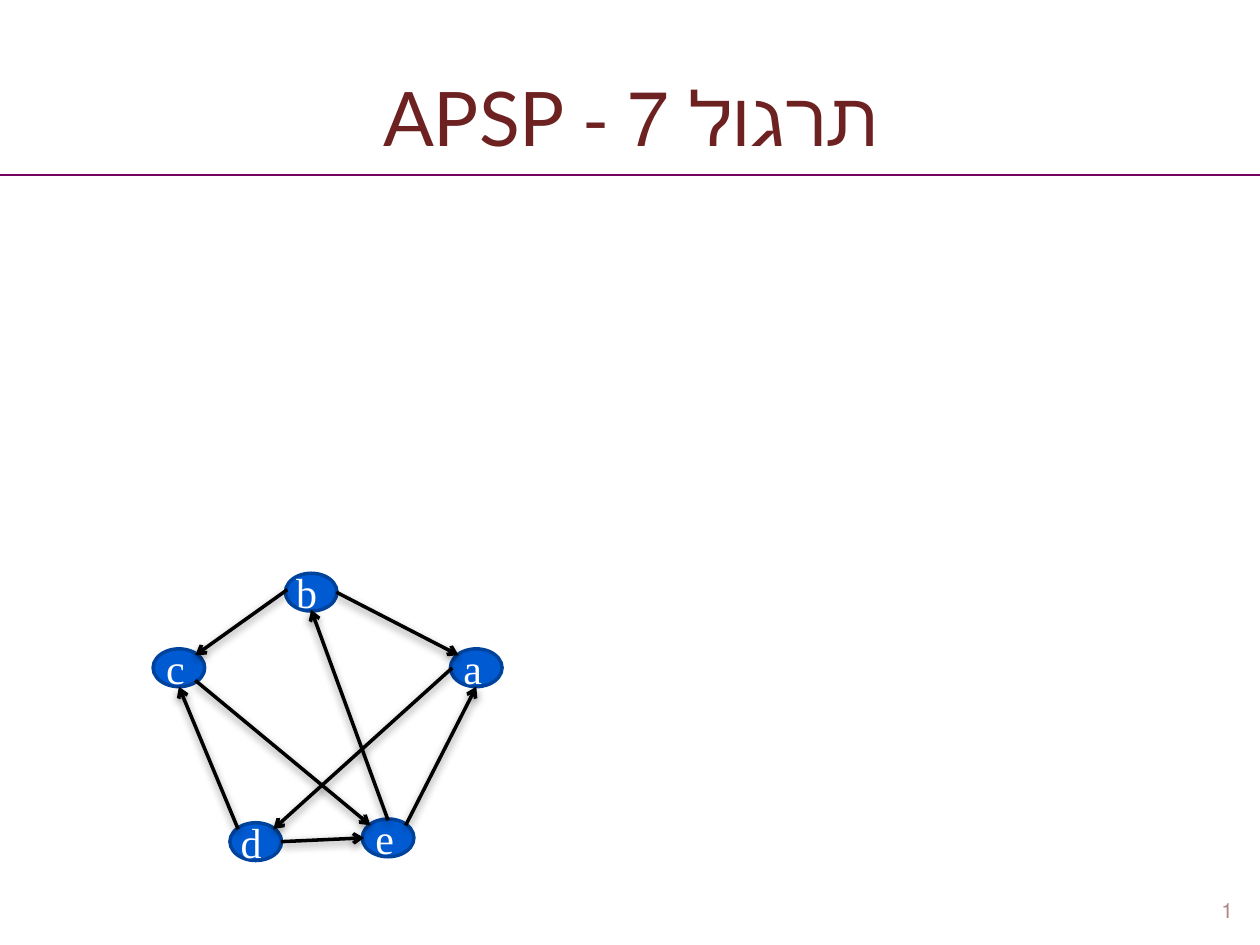
"""Build a title slide with a directed graph of five labelled nodes."""
import pptx
import pptx.dml.color
import pptx.enum.shapes
import pptx.enum.text
import pptx.oxml
import pptx.oxml.ns
import pptx.util
from pptx.util import Inches

COLORS = {"title": "6D2121", "rule": "75005F", "number": "AF8888", "node": "005BD3",
          "outline": "00439C", "label": "FFFFFF", "edge": "000000"}
NS = pptx.oxml.ns.nsdecls("a")
SHADOW = (f'<a:effectLst {NS}><a:outerShdw blurRad="63500" dist="25400" dir="5400000" '
          'rotWithShape="0"><a:srgbClr val="000000"><a:alpha val="43000"/></a:srgbClr>'
          '</a:outerShdw></a:effectLst>')
NODE_W, NODE_H = 0.41, 0.3
NODES = {"d": (2.03, 6.68), "e": (3.08, 6.65), "a": (3.78, 5.3),
         "b": (2.47, 4.7), "c": (1.42, 5.3)}
EDGES = [(2.67, 4.7, 3.64, 5.2), (2.28, 4.68, 1.55, 5.2), (3.59, 5.3, 2.17, 6.58),
         (1.55, 5.4, 2.94, 6.55), (1.89, 6.58, 1.42, 5.45), (2.23, 6.68, 2.89, 6.65),
         (3.22, 6.55, 3.78, 5.45), (3.08, 6.51, 2.47, 4.84)]


def write(sp, text, size, font, color, anchor):
    tf = sp.text_frame
    tf.word_wrap = True
    tf.vertical_anchor = anchor
    p = tf.paragraphs[0]
    p.text = text
    p.alignment = pptx.enum.text.PP_ALIGN.CENTER
    p.font.size = pptx.util.Pt(size)
    p.font.name = font
    p.font.color.rgb = pptx.dml.color.RGBColor.from_string(COLORS[color])
    p._p.get_or_add_pPr().set("rtl", "1")


def add_line(x1, y1, x2, y2, color, width, effects):
    sp = s.shapes.add_connector(pptx.enum.shapes.MSO_CONNECTOR.STRAIGHT,
                                Inches(x1), Inches(y1), Inches(x2), Inches(y2))
    sp.line.color.rgb = pptx.dml.color.RGBColor.from_string(COLORS[color])
    sp.line.width = pptx.util.Pt(width)
    sp._element.spPr.append(pptx.oxml.parse_xml(effects))
    return sp


prs = pptx.Presentation()
prs.slide_width, prs.slide_height = Inches(10), Inches(7.5)
s = prs.slides.add_slide(prs.slide_layouts[5])
middle = pptx.enum.text.MSO_ANCHOR.MIDDLE

title = s.shapes.title
title.left, title.top, title.width, title.height = Inches(0), Inches(0.3), Inches(10), Inches(1.25)
write(title, "תרגול 7 - APSP", 43, "Lato", "title", middle)
add_line(0, 1.39, 10, 1.39, "rule", 0.75, f"<a:effectLst {NS}/>")

number = s.shapes.add_textbox(Inches(9.49), Inches(6.85), Inches(0.5), Inches(0.52))
write(number, "1", 12, "Times New Roman", "number", pptx.enum.text.MSO_ANCHOR.BOTTOM)

for label, (x, y) in NODES.items():
    sp = s.shapes.add_shape(pptx.enum.shapes.MSO_SHAPE.OVAL, Inches(x - NODE_W / 2),
                            Inches(y - NODE_H / 2), Inches(NODE_W), Inches(NODE_H))
    sp.shadow.inherit = False
    sp.fill.solid()
    sp.fill.fore_color.rgb = pptx.dml.color.RGBColor.from_string(COLORS["node"])
    sp.line.color.rgb = pptx.dml.color.RGBColor.from_string(COLORS["outline"])
    sp.line.width = pptx.util.Pt(2)
    write(sp, label, 24, "Times New Roman", "label", middle)

for edge in EDGES:
    sp = add_line(*edge, "edge", 2, SHADOW)
    sp.line._get_or_add_ln().append(pptx.oxml.parse_xml(f'<a:tailEnd {NS} type="arrow"/>'))

prs.save("out.pptx")
